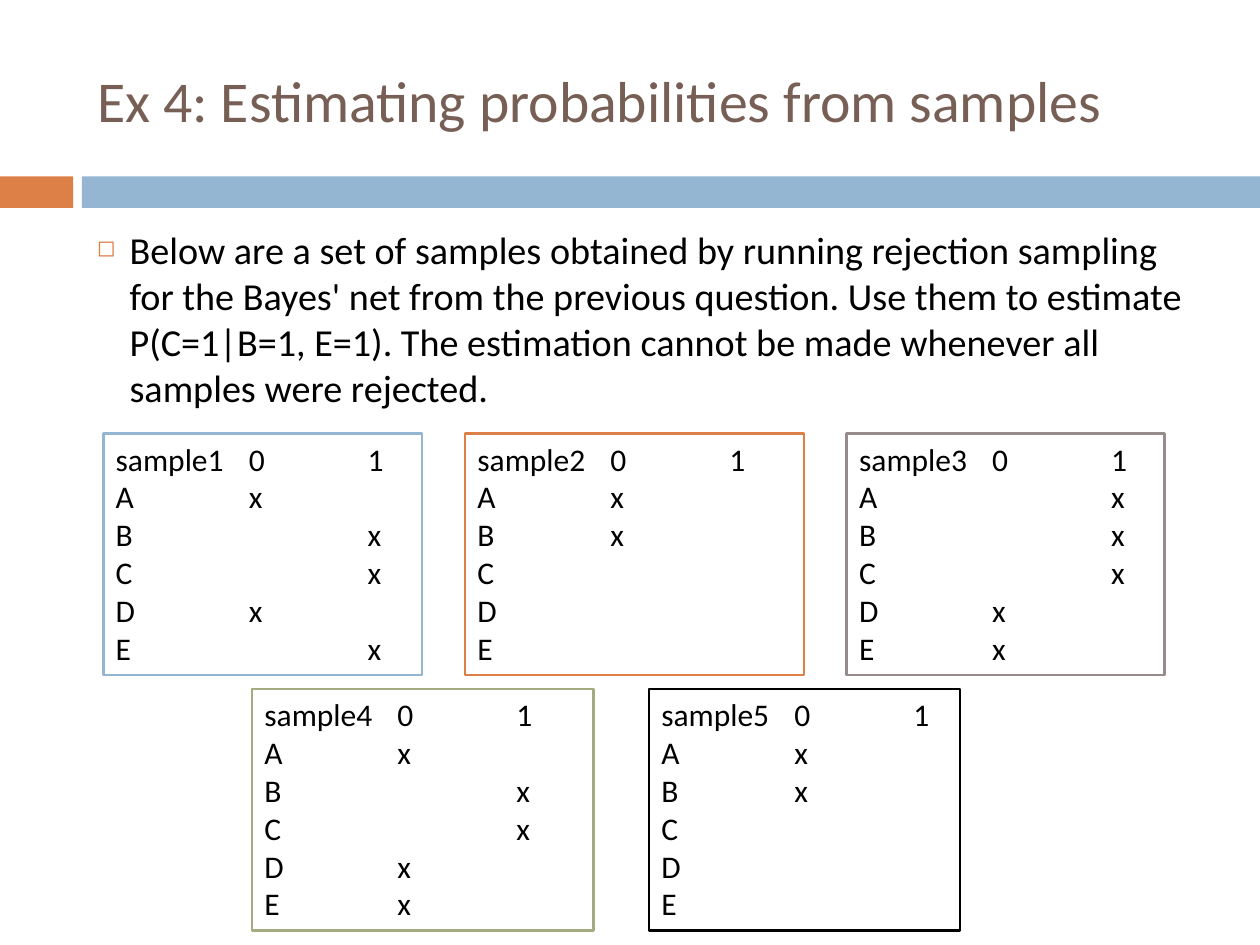
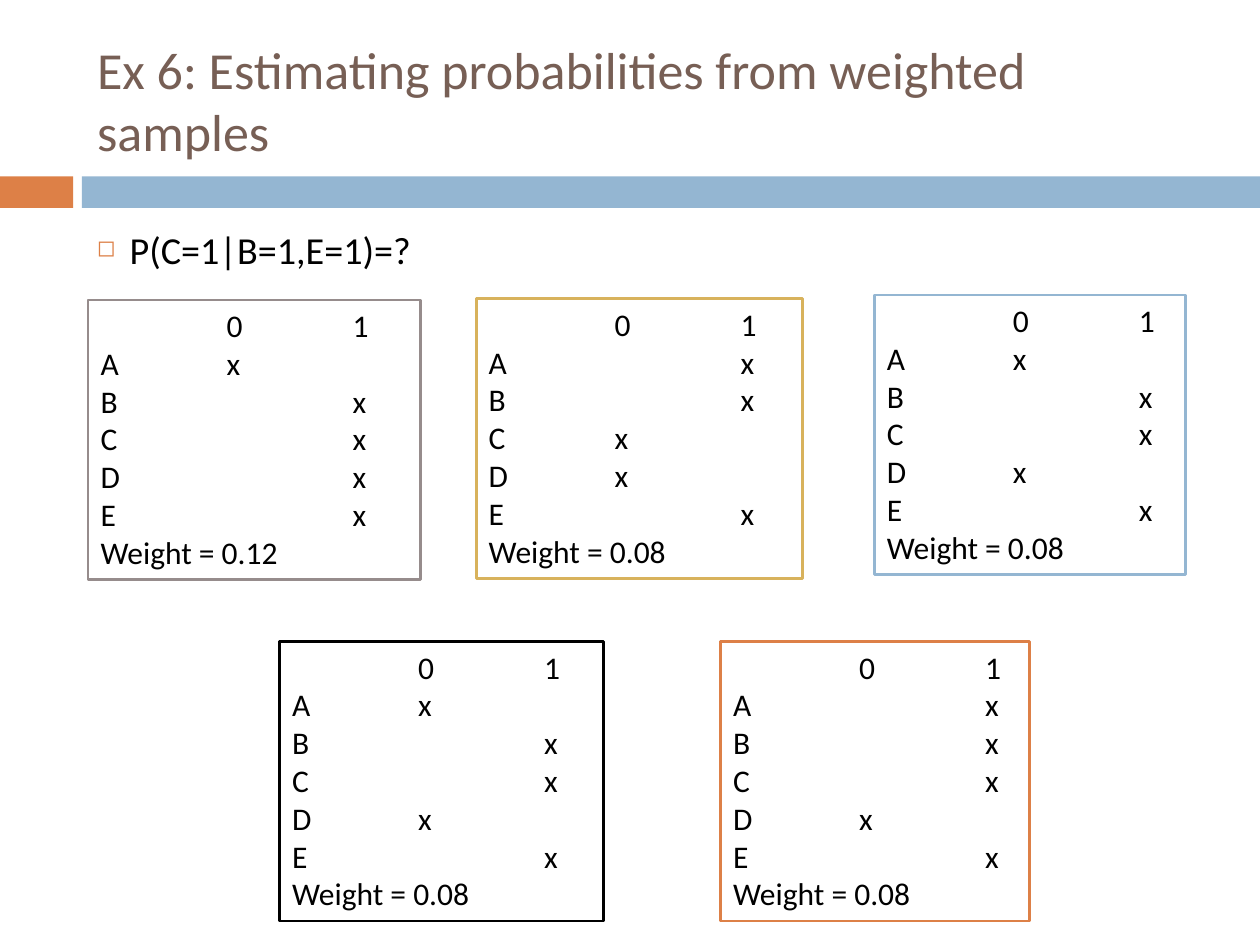
from dataclasses import dataclass

from lxml import etree
from pptx import Presentation
from pptx import util as u
from pptx.dml.color import RGBColor
from pptx.enum import shapes, text
from pptx.oxml.ns import qn


@dataclass(frozen=True)
class Theme:
    font: str = "Calibri"
    black: str = "000000"
    white: str = "FFFFFF"
    brown: str = "775F55"
    orange: str = "DD8047"
    blue: str = "94B6D2"
    grey: str = "968C8C"
    green: str = "A5AB81"
    gold: str = "D8B25C"
    body_size: float = 21.8
    sample_size: float = 18
    outline: float = 1.5
    left: float = 48.24
    width: float = 642.24


THEME = Theme()


@dataclass(frozen=True)
class Sample:
    left: float
    top: float
    width: float
    colour: str
    values: str  # value of A to E in order, "-" where nothing is marked
    name: str = ""
    weight: str = ""


def format_text(frame, size, colour):
    """Left-align every paragraph and style its runs."""
    for para in frame.paragraphs:
        para.alignment = text.PP_ALIGN.LEFT
        for span in para.runs:
            span.font.name = THEME.font
            span.font.size = u.Pt(size)
            span.font.color.rgb = RGBColor.from_string(colour)


def add_box(page, left, top, width, height, fill, line=None):
    box = page.shapes.add_shape(
        shapes.MSO_SHAPE.RECTANGLE,
        u.Pt(left), u.Pt(top), u.Pt(width), u.Pt(height))
    box.shadow.inherit = False
    box.fill.solid()
    box.fill.fore_color.rgb = RGBColor.from_string(fill)
    if line:
        box.line.color.rgb = RGBColor.from_string(line)
        box.line.width = u.Pt(THEME.outline)
    else:
        box.line.fill.background()
    return box


def add_page(deck, title, title_size):
    """Title-only slide with the two-colour band below the title."""
    page = deck.slides.add_slide(deck.slide_layouts[5])
    add_box(page, 0, 100.8, 41.76, 18, THEME.orange)
    add_box(page, 46.8, 100.8, 673.2, 18, THEME.blue)
    box = page.shapes.title
    box.left, box.top = u.Pt(THEME.left), u.Pt(18)
    box.width, box.height = u.Pt(THEME.width), u.Pt(77.76)
    frame = box.text_frame
    frame.text = title
    frame.word_wrap = True
    frame.auto_size = text.MSO_AUTO_SIZE.NONE
    frame.vertical_anchor = text.MSO_ANCHOR.MIDDLE
    format_text(frame, title_size, THEME.brown)
    return page


def add_bullet(page, wording, height):
    box = page.shapes.add_textbox(
        u.Pt(THEME.left), u.Pt(126), u.Pt(THEME.width), u.Pt(height))
    frame = box.text_frame
    frame.word_wrap = True
    frame.text = wording
    format_text(frame, THEME.body_size, THEME.black)
    para = frame.paragraphs[0]
    para.space_before = u.Pt(5.2)
    # Small coloured square as the bullet, with a hanging indent
    props = para._p.get_or_add_pPr()
    props.set("marL", str(u.Pt(18.72)))
    props.set("indent", str(-u.Pt(18.72)))
    colour = etree.SubElement(props, qn("a:buClr"))
    etree.SubElement(colour, qn("a:srgbClr"), val=THEME.orange)
    etree.SubElement(props, qn("a:buSzPct"), val="60000")
    etree.SubElement(props, qn("a:buChar"), char="◻")


def sample_lines(sample):
    """Header, one tabbed line per variable, and the weight if there is one."""
    gap = " " if sample.name else ""
    marks = {"0": f"\t{gap}x\t", "1": "\t\tx", "-": "\t\t"}
    lines = [f"{sample.name}\t{gap}0\t1"]
    lines += [name + marks[value] for name, value in zip("ABCDE", sample.values)]
    if sample.weight:
        lines.append(f"Weight = {sample.weight}")
    return lines


def add_sample(page, sample):
    lines = sample_lines(sample)
    height = 7.2 + 21.8 * len(lines)
    box = add_box(page, sample.left, sample.top, sample.width, height,
                  THEME.white, sample.colour)
    frame = box.text_frame
    frame.word_wrap = True
    frame.auto_size = text.MSO_AUTO_SIZE.SHAPE_TO_FIT_TEXT
    frame.vertical_anchor = text.MSO_ANCHOR.TOP
    frame.text = "\n".join(lines)
    format_text(frame, THEME.sample_size, THEME.black)
    # Tab stops for the columns 0 and 1
    for para in frame.paragraphs:
        stops = etree.SubElement(para._p.get_or_add_pPr(), qn("a:tabLst"))
        for position in (72, 144):
            etree.SubElement(stops, qn("a:tab"), pos=str(u.Pt(position)), algn="l")


def main():
    deck = Presentation()
    deck.slide_width, deck.slide_height = u.Pt(720), u.Pt(540)

    # Samples from rejection sampling
    page = add_page(deck, "Ex 4: Estimating probabilities from samples", 33)
    add_bullet(
        page,
        "Below are a set of samples obtained by running rejection sampling "
        "for the Bayes' net from the previous question. Use them to "
        "estimate P(C=1|B=1, E=1). The estimation cannot be made whenever "
        "all samples were rejected.", 113.76)
    upper, lower = 247.68, 393.84
    for sample in (
        Sample(59.04, upper, 182.16, THEME.blue, "01101", "sample1"),
        Sample(265.68, upper, 193.68, THEME.orange, "00---", "sample2"),
        Sample(483.84, upper, 181.44, THEME.grey, "11100", "sample3"),
        Sample(144, lower, 195.12, THEME.green, "01100", "sample4"),
        Sample(370.8, lower, 177.84, THEME.black, "00---", "sample5"),
    ):
        add_sample(page, sample)

    # Weighted samples
    page = add_page(deck, "Ex 6: Estimating probabilities from weighted samples", 29.7)
    add_bullet(page, "P(C=1|B=1,E=1)=?", 60.48)
    lower = 366.48
    for sample in (
        Sample(50.4, 171.36, 190.08, THEME.grey, "01111", weight="0.12"),
        Sample(272.16, 170.64, 186.48, THEME.gold, "11001", weight="0.08"),
        Sample(499.68, 168.48, 177.84, THEME.blue, "01101", weight="0.08"),
        Sample(159.84, lower, 185.04, THEME.black, "01101", weight="0.08"),
        Sample(411.84, lower, 176.4, THEME.orange, "11101", weight="0.08"),
    ):
        add_sample(page, sample)

    deck.save("out.pptx")


if __name__ == "__main__":
    main()
